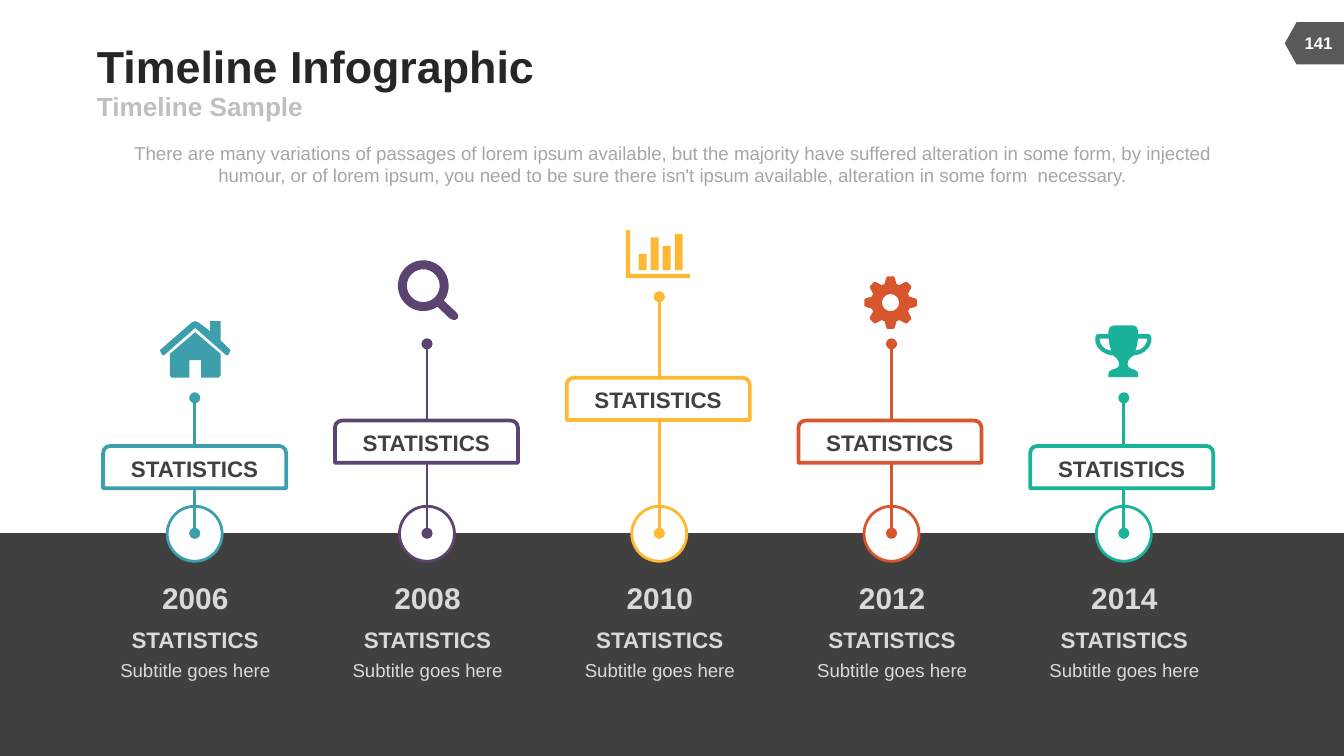
from dataclasses import dataclass
from math import cos, radians, sin

from lxml.etree import SubElement
from pptx import Presentation
from pptx.dml.color import RGBColor
from pptx.enum.shapes import MSO_CONNECTOR, MSO_SHAPE
from pptx.enum.text import MSO_ANCHOR, MSO_AUTO_SIZE, PP_ALIGN
from pptx.oxml.ns import qn
from pptx.shapes.autoshape import Shape
from pptx.slide import Slide
from pptx.text.text import TextFrame
from pptx.util import Cm, Pt

Point = tuple[float, float]
Path = list[Point]


@dataclass(frozen=True)
class Style:
    size: int
    color: str
    bold: bool = True


@dataclass(frozen=True)
class Theme:
    font: str = "Arial"
    white: str = "FFFFFF"
    ground: str = "404040"
    tag: str = "595959"
    title: Style = Style(24, "262626")
    sub: Style = Style(14, "BFBFBF")
    intro: Style = Style(10, "A6A6A6", False)
    label: Style = Style(12, "404040")
    year: Style = Style(16, "D9D9D9")
    head: Style = Style(12, "D9D9D9")
    note: Style = Style(10, "D9D9D9", False)
    page: Style = Style(9, "FFFFFF")


@dataclass(frozen=True)
class Icon:
    """Outlines in millimetres, around an origin given in centimetres."""
    x: float
    y: float
    paths: list[Path]


@dataclass(frozen=True)
class Event:
    year: str
    color: str
    stem: float
    label: float
    icon: Icon


THEME = Theme()
WIDTH, HEIGHT = 25.4, 14.29
GROUND = 10.08
FIRST, PITCH, LABEL_PITCH = 3.68, 4.39, 4.38


def arc(radius: float, start: int = 0, end: int = 360, step: int = 10) -> Path:
    return [(radius * cos(radians(a)), radius * sin(radians(a)))
            for a in range(start, end + 1, step)]


def box(x: float, y: float, w: float, h: float) -> Path:
    return [(x, y), (x + w, y), (x + w, y + h), (x, y + h)]


def mirror(half: Path) -> Path:
    return [(-x, y) for x, y in reversed(half)]


def house() -> list[Path]:
    roof = [(6.2, 6.5), (5.8, 6.4), (0, 1.3), (-5.8, 6.4), (-6.2, 6.5),
            (-6.7, 5.5), (-0.7, 0.3), (0, 0), (0.7, 0.3), (2.8, 1.9),
            (2.8, 0), (4.8, 0), (4.8, 3.6), (6.7, 5.5)]
    wall = [(0, 2.1), (4.8, 6.2), (4.8, 10.3), (4.4, 10.7), (1.1, 10.7), (1.1, 7.4)]
    return [roof, wall + mirror(wall)]


def lens() -> list[Path]:
    grip = [(6.2, 5), (6.6, 5.6), (6.5, 6.2), (6, 6.5), (5.4, 6.4), (5, 6.2)]
    return [arc(4.8, 56, 396) + grip, arc(3.1)]


def chart() -> list[Path]:
    axes = [(0, 0), (0.8, 0), (0.8, 8.3), (12.1, 8.3), (12.1, 9.1), (0, 9.1)]
    tops = [4.5, 1.4, 3, 0.7]
    return [axes] + [box(2.4 + 2.28 * i, top, 1.5, 7.6 - top)
                     for i, top in enumerate(tops)]


def gear() -> list[Path]:
    tooth = [(-18, 3.7), (-10, 4.7), (-7, 5), (7, 5), (10, 4.7), (18, 3.7)]
    rim = [(r * cos(radians(turn + a)), r * sin(radians(turn + a)))
           for turn in range(0, 360, 45) for a, r in tooth]
    return [rim, arc(1.6)]


def trophy() -> list[Path]:
    cup = [(0, 0), (1.8, 0), (2.5, 0.3), (2.8, 1), (2.8, 1.6), (4.6, 1.6),
           (5.1, 1.8), (5.3, 2.3), (5.3, 3.1), (4.9, 4.1), (4, 5), (3, 5.5),
           (1.9, 5.7), (1.3, 6.2), (0.9, 6.8), (0.8, 7.3), (0.9, 7.8),
           (1.5, 8.2), (2.2, 8.4), (2.7, 8.8), (2.8, 9.2), (2.8, 9.8)]
    ear = [(2.8, 2.5), (4.5, 2.5), (4.4, 3.2), (4, 3.9), (3.3, 4.5),
           (2.3, 4.8), (2.6, 3.7)]
    return [cup + mirror(cup), ear, mirror(ear)]


EVENTS = [
    Event("2006", "3D9FAC", 7.52, 8.43, Icon(3.69, 6.07, house())),
    Event("2008", "5B4470", 6.5, 7.95, Icon(8, 5.4, lens())),
    Event("2010", "FEB834", 5.61, 7.14, Icon(11.83, 4.35, chart())),
    Event("2012", "D7562E", 6.5, 7.95, Icon(16.83, 5.72, gear())),
    Event("2014", "1BB29C", 7.52, 8.43, Icon(21.23, 6.15, trophy())),
]


def write(frame: TextFrame, text: str, style: Style,
          align: PP_ALIGN = PP_ALIGN.CENTER, wrap: bool = True) -> None:
    frame.text = text
    frame.word_wrap = wrap
    frame.auto_size = MSO_AUTO_SIZE.NONE
    frame.vertical_anchor = MSO_ANCHOR.MIDDLE
    frame.margin_left = frame.margin_right = 0
    frame.margin_top = frame.margin_bottom = 0
    line = frame.paragraphs[0]
    line.alignment = align
    line.font.name, line.font.size = THEME.font, Pt(style.size)
    line.font.bold = style.bold
    line.font.color.rgb = RGBColor.from_string(style.color)


def add_text(slide: Slide, x: float, y: float, w: float, h: float, text: str,
             style: Style, align: PP_ALIGN = PP_ALIGN.CENTER) -> None:
    area = slide.shapes.add_textbox(Cm(x), Cm(y), Cm(w), Cm(h))
    write(area.text_frame, text, style, align)


def paint(shape: Shape, fill: str, edge: str = "", width: float = 0) -> None:
    shape.shadow.inherit = False
    shape.fill.solid()
    shape.fill.fore_color.rgb = RGBColor.from_string(fill)
    if edge:
        shape.line.color.rgb = RGBColor.from_string(edge)
        shape.line.width = Pt(width)
    else:
        shape.line.fill.background()


def add_shape(slide: Slide, kind: MSO_SHAPE, x: float, y: float, w: float, h: float,
              fill: str, edge: str = "", width: float = 0) -> Shape:
    shape = slide.shapes.add_shape(kind, Cm(x), Cm(y), Cm(w), Cm(h))
    paint(shape, fill, edge, width)
    return shape


def add_stem(slide: Slide, x: float, top: float, color: str) -> None:
    """Draw a vertical line with a dot at each end."""
    stem = slide.shapes.add_connector(MSO_CONNECTOR.STRAIGHT,
                                      Cm(x), Cm(top), Cm(x), Cm(GROUND))
    stem.line.color.rgb = RGBColor.from_string(color)
    stem.line.width = Pt(1.5)
    props = stem._element.spPr
    for end in ("a:headEnd", "a:tailEnd"):
        SubElement(props.find(qn("a:ln")), qn(end), type="oval")
    SubElement(props, qn("a:effectLst"))


def add_icon(slide: Slide, icon: Icon, color: str) -> None:
    paths = [[(Cm(icon.x + x / 10), Cm(icon.y + y / 10)) for x, y in path]
             for path in icon.paths]
    pen = slide.shapes.build_freeform(*paths[0][0])
    for i, path in enumerate(paths):
        if i:
            pen.move_to(*path[0])
        pen.add_line_segments(path[1:], close=True)
    paint(pen.convert_to_shape(), color)


def add_event(slide: Slide, event: Event, i: int) -> None:
    x = FIRST + PITCH * i
    add_shape(slide, MSO_SHAPE.OVAL, x - 0.52, GROUND - 0.51, 1.04, 1.04,
              THEME.white, event.color, 1.5)
    add_stem(slide, x, event.stem, event.color)
    label = add_shape(slide, MSO_SHAPE.ROUND_2_SAME_RECTANGLE,
                      FIRST + LABEL_PITCH * i - 1.73, event.label, 3.46, 0.8,
                      THEME.white, event.color, 2)
    write(label.text_frame, "STATISTICS", THEME.label)
    add_icon(slide, event.icon, event.color)
    for y, h, text, style in ((10.95, 0.68, event.year, THEME.year),
                              (11.84, 0.51, "STATISTICS", THEME.head),
                              (12.45, 0.43, "Subtitle goes here", THEME.note)):
        add_text(slide, x - 1.95, y, 3.92, h, text, style)


def main() -> None:
    deck = Presentation()
    deck.slide_width, deck.slide_height = Cm(WIDTH), Cm(HEIGHT)
    slide = deck.slides.add_slide(deck.slide_layouts[5])
    title = slide.shapes.title
    title.left, title.top, title.width, title.height = Cm(1.83), Cm(0.74), Cm(15.67), Cm(1)
    write(title.text_frame, "Timeline Infographic", THEME.title, PP_ALIGN.LEFT, False)
    add_text(slide, 1.83, 1.73, 11.43, 0.56, "Timeline Sample", THEME.sub, PP_ALIGN.LEFT)
    add_text(slide, 2.16, 2.67, 21.08, 0.86,
             "There are many variations of passages of lorem ipsum available, but the "
             "majority have suffered alteration in some form, by injected humour, or of "
             "lorem ipsum, you need to be sure there isn't ipsum available, alteration "
             "in some form  necessary.", THEME.intro)
    tag = add_shape(slide, MSO_SHAPE.FLOWCHART_OFFPAGE_CONNECTOR,
                    24.44, 0.26, 0.8, 1.12, THEME.tag)
    tag.rotation = 90
    add_text(slide, 24.44, 0.43, 0.96, 0.76, "141", THEME.page)
    add_shape(slide, MSO_SHAPE.RECTANGLE, 0, GROUND, WIDTH, HEIGHT - GROUND, THEME.ground)
    for i, event in enumerate(EVENTS):
        add_event(slide, event, i)
    deck.save("out.pptx")


if __name__ == "__main__":
    main()
